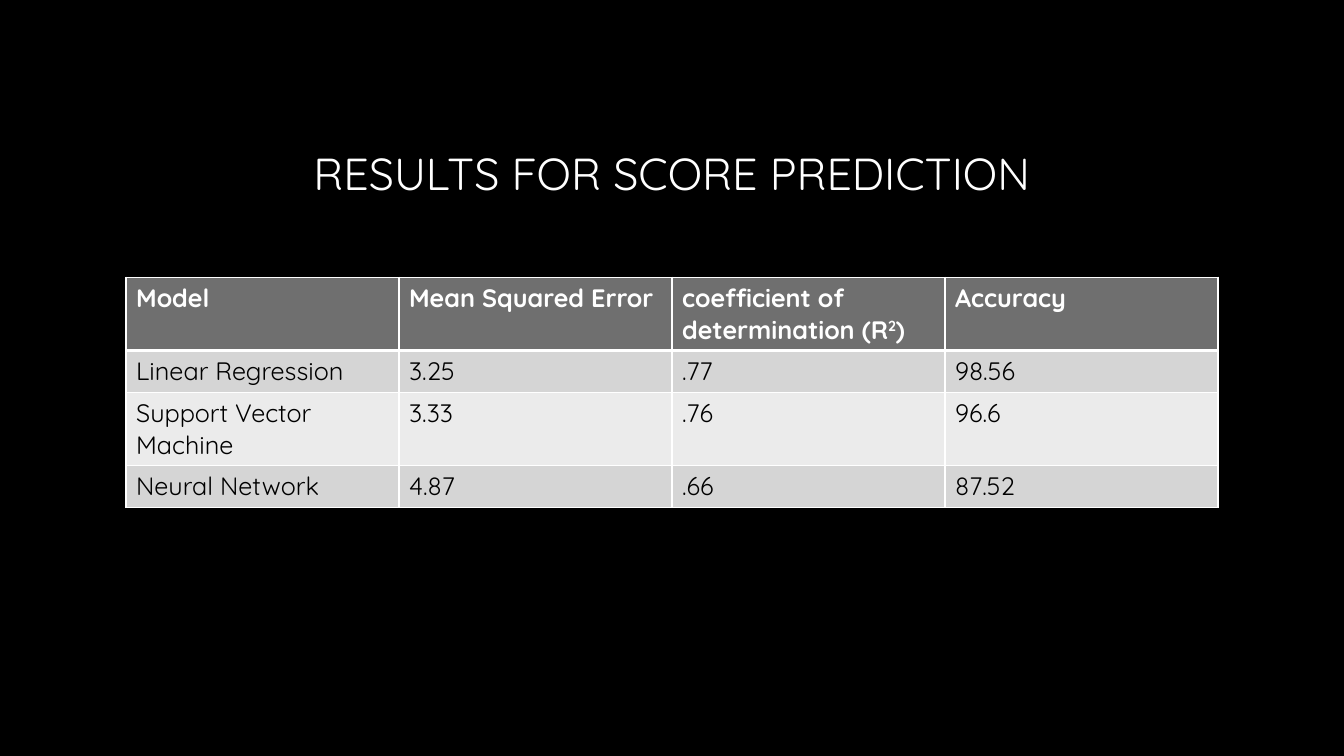
from lxml.etree import SubElement
from pptx import Presentation
from pptx.dml.color import RGBColor
from pptx.enum.text import MSO_ANCHOR, PP_ALIGN
from pptx.oxml.ns import qn
from pptx.util import Inches, Pt

FONT = "Quicksand"
WHITE, BLACK = "FFFFFF", "000000"
HEADER_FILL, BAND_FILLS = "6F6F6F", ("D5D5D5", "EBEBEB")
MARGIN, CONTENT_WIDTH = 1.25, 10.83
TITLE_BOX = (MARGIN, 0.67, CONTENT_WIDTH, 2.08)
RESULTS_BOX = (MARGIN, 2.75, CONTENT_WIDTH, 1.64)
SUPERSCRIPTS = {"²": "2"}
RESULTS = [
    ("Model", "Mean Squared Error", "coefficient of determination (R²)", "Accuracy"),
    ("Linear Regression", "3.25", ".77", "98.56"),
    ("Support Vector Machine", "3.33", ".76", "96.6"),
    ("Neural Network", "4.87", ".66", "87.52"),
]


def paint(color_format, hex_color):
    """Apply a hex colour to a fill or a font."""
    if hasattr(color_format, "solid"):
        color_format.solid()
        color_format.fore_color.rgb = RGBColor.from_string(hex_color)
    else:
        color_format.color.rgb = RGBColor.from_string(hex_color)


def style_text(paragraph, size, color, bold=False):
    """Set the shared font of a paragraph."""
    font = paragraph.font
    font.name, font.size, font.bold = FONT, Pt(size), bold
    paint(font, color)


def write_text(paragraph, wording):
    """Write wording, raising superscript digits as their own runs."""
    for mark, digit in SUPERSCRIPTS.items():
        before, found, after = wording.partition(mark)
        paragraph.add_run().text = before
        if found:
            raised = paragraph.add_run()
            raised.text = digit
            raised._r.get_or_add_rPr().set("baseline", "30000")
            paragraph.add_run().text = after


def border_cell(cell, widths):
    """Draw white borders with the given point width per edge."""
    properties = cell._tc.get_or_add_tcPr()
    for edge, width in widths.items():
        line = SubElement(properties, qn(f"a:ln{edge}"), w=str(Pt(width)))
        fill = SubElement(line, qn("a:solidFill"))
        SubElement(fill, qn("a:srgbClr"), val=WHITE)


def add_title(slide, box, wording):
    """Place the centred slide title in its box."""
    title = slide.shapes.title
    title.left, title.top, title.width, title.height = map(Inches, box)
    frame = title.text_frame
    frame.text = wording
    frame.word_wrap = True
    frame.vertical_anchor = MSO_ANCHOR.MIDDLE
    heading = frame.paragraphs[0]
    heading.alignment = PP_ALIGN.CENTER
    style_text(heading, 32, WHITE)


def add_results(slide, box, results):
    """Fill the box with the banded results table."""
    table = slide.shapes.add_table(
        len(results), len(results[0]), *map(Inches, box)
    ).table
    for row, entries in enumerate(results):
        header = row == 0
        fill = HEADER_FILL if header else BAND_FILLS[(row - 1) % 2]
        widths = {"L": 1, "R": 1, "T": 3 if row == 1 else 1, "B": 3 if header else 1}
        for column, entry in enumerate(entries):
            cell = table.cell(row, column)
            border_cell(cell, widths)
            paint(cell.fill, fill)
            paragraph = cell.text_frame.paragraphs[0]
            write_text(paragraph, entry)
            style_text(paragraph, 18, WHITE if header else BLACK, header)


def main():
    """Build and save the results slide."""
    deck = Presentation()
    deck.slide_width, deck.slide_height = Inches(13.33), Inches(7.5)
    slide = deck.slides.add_slide(deck.slide_layouts.get_by_name("Title Only"))
    paint(slide.background.fill, BLACK)
    add_title(slide, TITLE_BOX, "RESULTS FOR SCORE PREDICTION")
    add_results(slide, RESULTS_BOX, RESULTS)
    deck.save("out.pptx")


if __name__ == "__main__":
    main()
